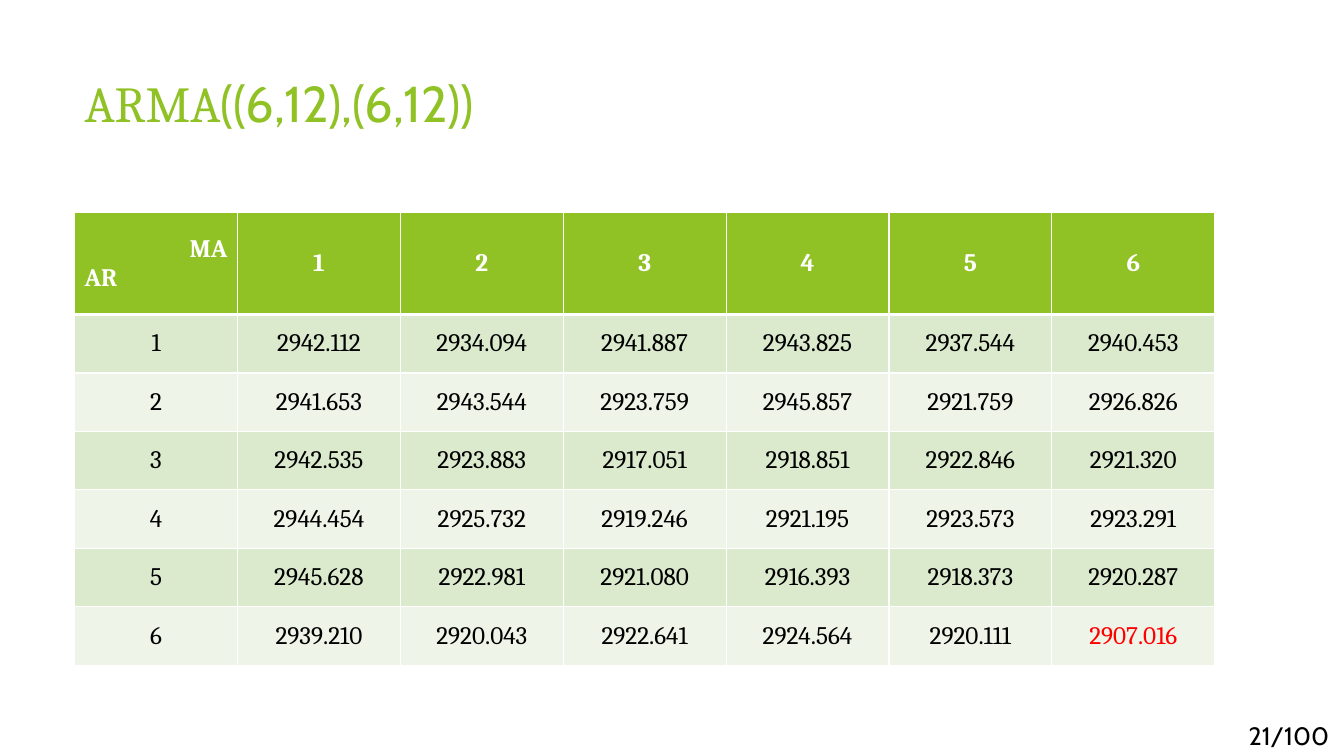
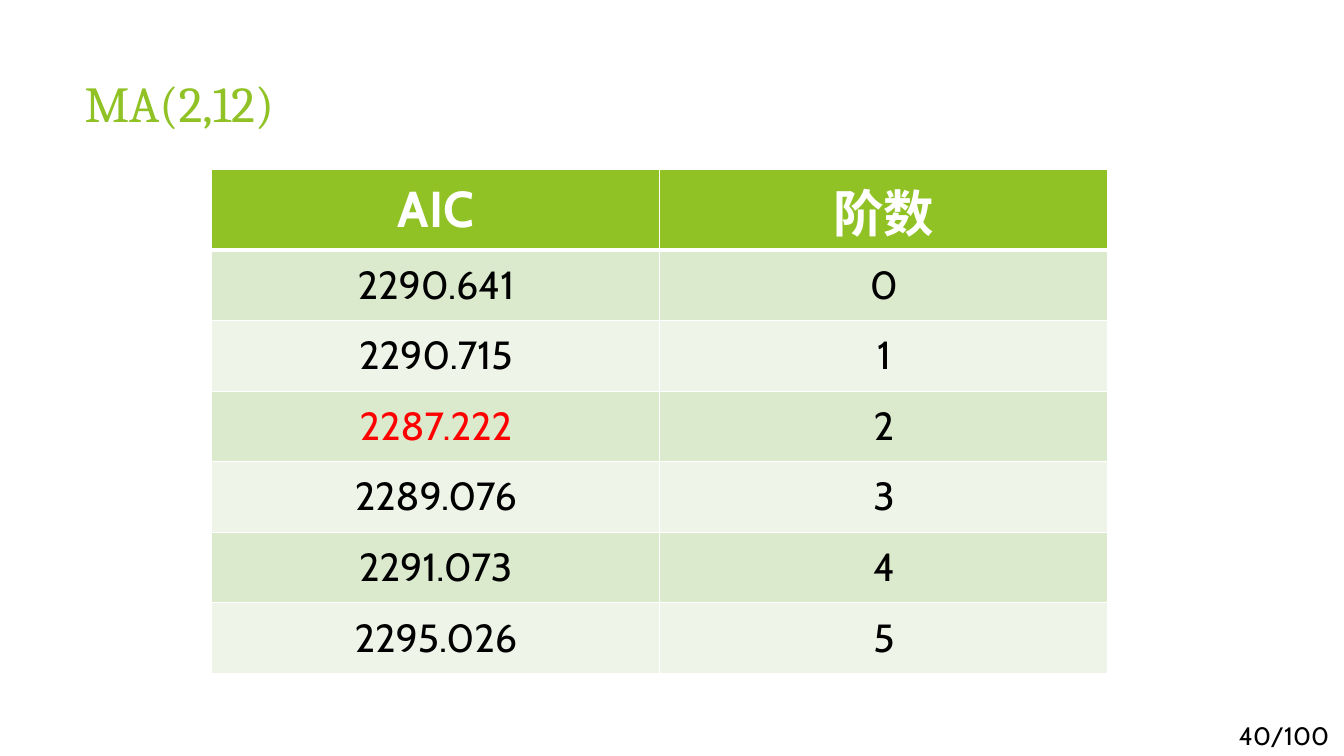
from lxml import etree
from pptx import Presentation
from pptx.dml.color import RGBColor
from pptx.enum import text
from pptx.oxml import ns
from pptx.util import Inches, Pt

GREEN, WHITE, BLACK, RED = "90C226", "FFFFFF", "000000", "FF0000"
BANDS = ["DBE9CD", "EEF4E8"]
ALIGN = text.PP_ALIGN


def style(p, size, color, font, align, bold=False):
    """Format a paragraph and all its runs."""
    p.alignment = align
    for r in p.runs:
        r.font.size = Pt(size)
        r.font.color.rgb = RGBColor.from_string(color)
        r.font.name = font
        r.font.bold = bold


def add_border(cell, side, width):
    """Draw one white cell edge; call before the cell gets its fill."""
    tc_pr = cell._tc.get_or_add_tcPr()
    ln = etree.SubElement(tc_pr, ns.qn(f"a:ln{side}"), w=str(Pt(width)))
    fill = etree.SubElement(ln, ns.qn("a:solidFill"))
    etree.SubElement(fill, ns.qn("a:srgbClr"), val=WHITE)


arma_rows = [
    ["MA\nAR", "1", "2", "3", "4", "5", "6"],
    ["1", "2942.112", "2934.094", "2941.887", "2943.825", "2937.544", "2940.453"],
    ["2", "2941.653", "2943.544", "2923.759", "2945.857", "2921.759", "2926.826"],
    ["3", "2942.535", "2923.883", "2917.051", "2918.851", "2922.846", "2921.320"],
    ["4", "2944.454", "2925.732", "2919.246", "2921.195", "2923.573", "2923.291"],
    ["5", "2945.628", "2922.981", "2921.080", "2916.393", "2918.373", "2920.287"],
    ["6", "2939.210", "2920.043", "2922.641", "2924.564", "2920.111", "2907.016"],
]
ma_rows = [
    ["AIC", "阶数"],
    ["2290.641", "0"],
    ["2290.715", "1"],
    ["2287.222", "2"],
    ["2289.076", "3"],
    ["2291.073", "4"],
    ["2295.026", "5"],
]
slides = [
    dict(title=[("ARMA", "Cambria"), ("((6,12),(6,12))", "Cabin")], page="21/100",
         rows=arma_rows, best="2907.016", font="Cambria", head_size=18, body_size=18,
         left=0.74, top=2.11, width=11.31, head_height=1.01, row_height=0.58),
    dict(title=[("MA(2,12)", "Cambria")], page="40/100",
         rows=ma_rows, best="2287.222", font="Cabin", head_size=36, body_size=28,
         left=2.1, top=1.68, width=8.89, head_height=0.8, row_height=0.7),
]

prs = Presentation()
prs.slide_width, prs.slide_height = Inches(13.33), Inches(7.5)

for data in slides:
    s = prs.slides.add_slide(prs.slide_layouts[6])

    title = s.shapes.add_textbox(Inches(0.74), Inches(0.67), Inches(9.4), Inches(1.44))
    title.text_frame.word_wrap = True
    p = title.text_frame.paragraphs[0]
    for part, font in data["title"]:
        p.add_run().text = part
    style(p, 36, GREEN, None, ALIGN.LEFT)
    for r, (part, font) in zip(p.runs, data["title"]):
        r.font.name = font

    rows = data["rows"]
    n_rows, n_cols = len(rows), len(rows[0])
    height = data["head_height"] + data["row_height"] * (n_rows - 1)
    table = s.shapes.add_table(n_rows, n_cols, Inches(data["left"]), Inches(data["top"]),
                               Inches(data["width"]), Inches(height)).table
    for col in table.columns:
        col.width = Inches(data["width"] / n_cols)

    for i, values in enumerate(rows):
        head = i == 0
        table.rows[i].height = Inches(data["head_height"] if head else data["row_height"])
        for j, value in enumerate(values):
            cell = table.cell(i, j)
            for side in "LRTB":
                thick = (side == "B" and i == 0) or (side == "T" and i == 1)
                add_border(cell, side, 3 if thick else 1)
            cell.fill.solid()
            cell.fill.fore_color.rgb = RGBColor.from_string(GREEN if head else BANDS[(i - 1) % 2])
            cell.vertical_anchor = text.MSO_ANCHOR.MIDDLE
            cell.text_frame.text = value
            color = WHITE if head else RED if value == data["best"] else BLACK
            size = data["head_size"] if head else data["body_size"]
            for p in cell.text_frame.paragraphs:
                align = {"MA": ALIGN.RIGHT, "AR": ALIGN.LEFT}.get(p.text, ALIGN.CENTER)
                style(p, size, color, data["font"], align, bold=head)

    page = s.shapes.add_textbox(Inches(11.67), Inches(7.1), Inches(1.61), Inches(0.4))
    tf = page.text_frame
    tf.word_wrap = True
    tf.vertical_anchor = text.MSO_ANCHOR.MIDDLE
    tf.text = data["page"]
    style(tf.paragraphs[0], 18, BLACK, "Cabin", ALIGN.RIGHT)

prs.save("out.pptx")
